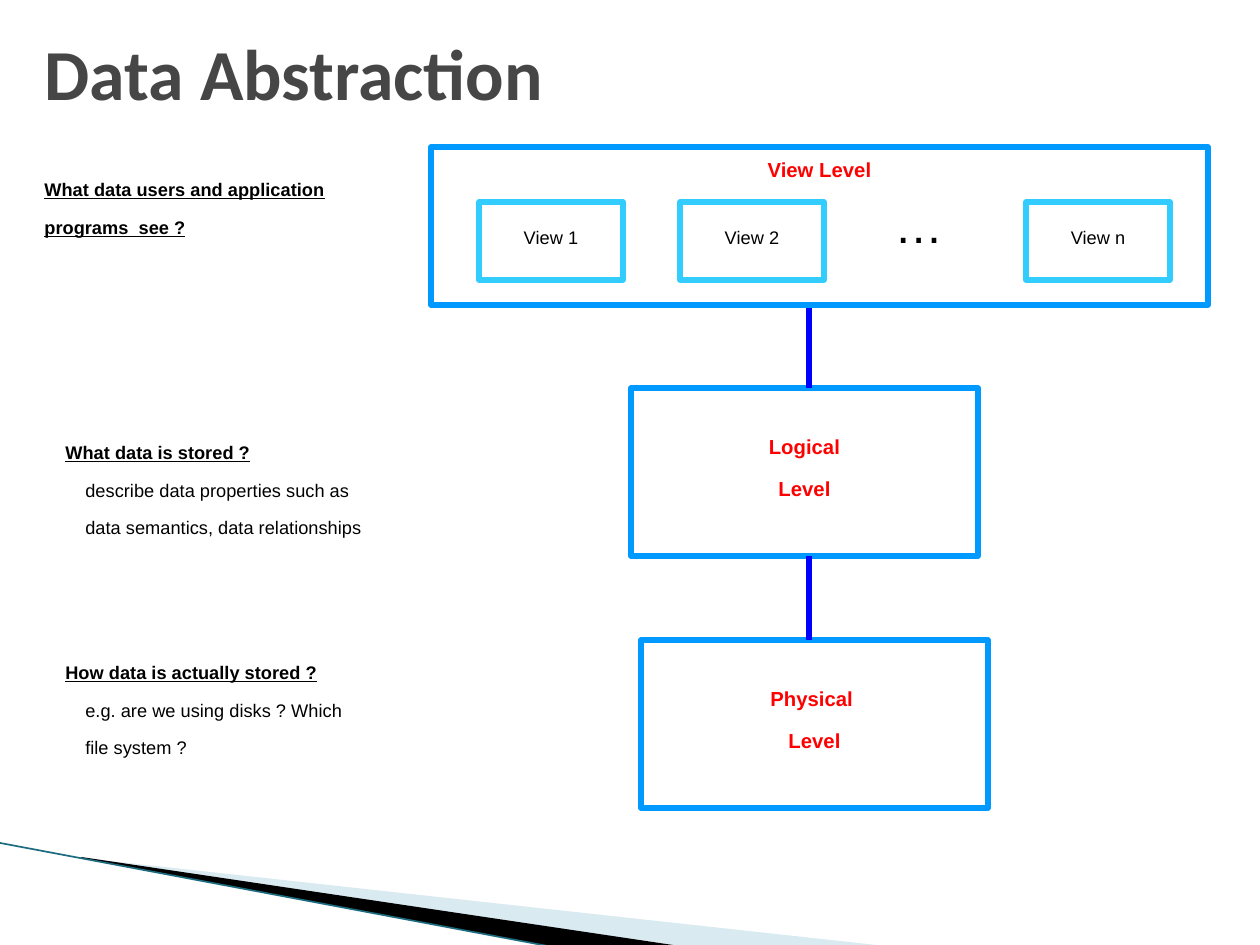
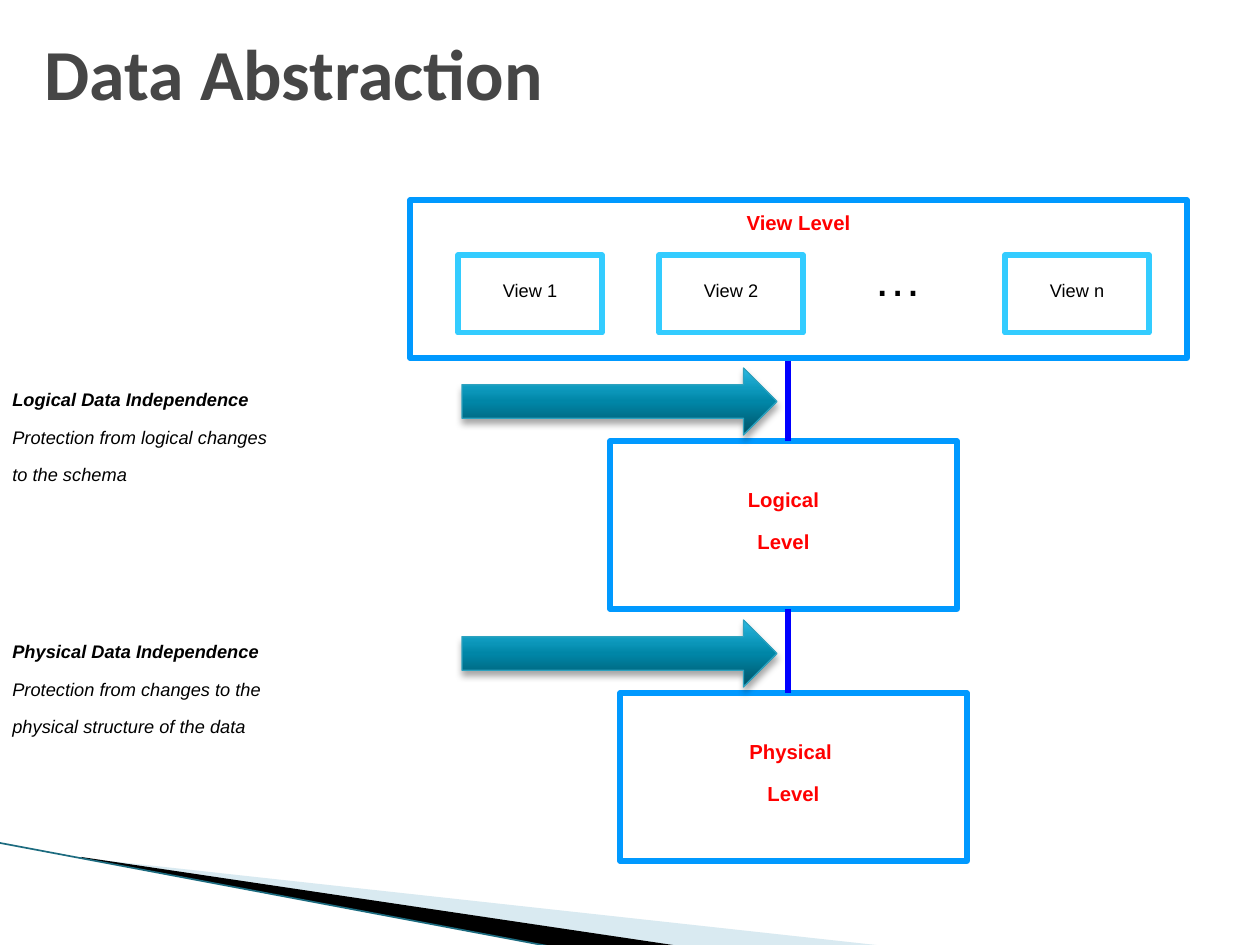
"""Builds two slides on the levels of data abstraction."""
from lxml import etree
from pptx import Presentation
from pptx.dml.color import RGBColor
from pptx.enum import shapes, text
from pptx.oxml import parse_xml
from pptx.oxml.ns import nsdecls, qn
from pptx.util import Emu, Pt

PX = 914400 / 126
HUE = {"title": "464646", "frame": "0099FF", "view": "33CCFF", "level": "FF0000",
       "ink": "000000", "link": "0000FF", "pale": "A0CBDC", "edge": "1C6B7F",
       "arrow": "2DA2BF"}
RAMP = [(0, "005367"), (50, "0086A7"), (70, "0E9ABE"), (100, "2CB9E3")]
TITLE = "Data Abstraction"

# Diagram parts, measured from the corner of the view level
VIEWS = [("View 1", 48), ("View 2", 249), ("View n", 595)]
LEVELS = [(["Logical", "Level"], 200, 241), (["Physical ", "Level"], 210, 493)]
LINKS = [(158, 241), (409, 493)]

# Bands at the foot: fill, opacity, corners
BANDS = [("pale", 40, [(82, 858), (885, 946), (678, 946), (83, 858)]),
         ("ink", 100, [(81, 857), (679, 946), (553, 947), (82, 858)])]

SLIDES = [
    {"corner": (431, 147), "head": "u", "body": None, "indent": 20, "arrows": [],
     "notes": [
         ((53, 651, 503, 126), ["How data is actually stored ?",
                                "e.g. are we using disks ? Which", "file system ?"]),
         ((53, 431, 537, 126), ["What data is stored ?",
                                "describe data properties such as",
                                "data semantics, data relationships"]),
         ((32, 168, 358, 126),
          ["What data users and application programs  see ?"])]},
    {"corner": (410, 200), "head": "i", "body": "i", "indent": 0,
     "arrows": [(462, 368, 315, 67), (462, 620, 315, 67)],
     "notes": [
         ((0, 378, 493, 127), ["Logical Data Independence",
                               "Protection from logical changes", "to the schema"]),
         ((0, 630, 466, 127), ["Physical Data Independence",
                               "Protection from changes to the",
                               "physical structure of the data"])]},
]


def emu(*vals):
    return [Emu(round(v * PX)) for v in vals]


def rgb(name):
    return RGBColor.from_string(HUE[name])


def write(frame, lines, size, hue, align=None, bold=False):
    """Fills a frame with raised text on even lines."""
    frame.text = "\n".join(lines)
    for para in frame.paragraphs:
        para.alignment = align
        para.line_spacing = Pt(size * 1.2)
        for run in para.runs:
            font = run.font
            font.name, font.size, font.bold = "Arial", Pt(size), bold
            font.color.rgb = rgb(hue)
            run._r.get_or_add_rPr().set("baseline", "30000")


def box(slide, area, lines, size, hue, line, bold=False, top=False):
    """Adds an outlined box with centred text."""
    shape = slide.shapes.add_shape(shapes.MSO_SHAPE.RECTANGLE, *emu(*area))
    shape.shadow.inherit = False
    shape.fill.background()
    shape.line.color.rgb, shape.line.width = rgb(line), Pt(3)
    frame = shape.text_frame
    frame.word_wrap = False
    frame.vertical_anchor = text.MSO_ANCHOR.TOP if top else text.MSO_ANCHOR.MIDDLE
    write(frame, lines, size, hue, text.PP_ALIGN.CENTER, bold)


def label(slide, area, lines, size):
    """Adds a wrapping text box."""
    frame = slide.shapes.add_textbox(*emu(*area)).text_frame
    frame.word_wrap = True
    write(frame, lines, size, "ink")
    return frame


def link(slide, ends, hue, width):
    """Adds a straight line without a shadow."""
    line = slide.shapes.add_connector(shapes.MSO_CONNECTOR.STRAIGHT, *emu(*ends))
    line.line.color.rgb, line.line.width = rgb(hue), Pt(width)
    etree.SubElement(line._element.spPr, qn("a:effectLst"))


def base(slide):
    """Draws the shared foot bands and title."""
    for hue, alpha, points in BANDS:
        pen = slide.shapes.build_freeform(*points[0], scale=PX)
        pen.add_line_segments(points[1:], close=True)
        band = pen.convert_to_shape()
        band.shadow.inherit = False
        band.fill.solid()
        band.fill.fore_color.rgb = rgb(hue)
        band.line.fill.background()
        tint = band._element.spPr.find(qn("a:solidFill"))[0]
        etree.SubElement(tint, qn("a:alpha"), val=str(alpha * 1000))
    link(slide, (0, 843, 553, 947), "edge", 0.95)
    title = slide.shapes.title
    title.left, title.top, title.width, title.height = emu(32, 21, 1166, 101)
    frame = title.text_frame
    frame.text = TITLE
    frame.vertical_anchor = text.MSO_ANCHOR.MIDDLE
    para = frame.paragraphs[0]
    para.alignment = text.PP_ALIGN.LEFT
    font = para.runs[0].font
    font.name, font.size, font.bold = "Calibri", Pt(41), True
    font.color.rgb = rgb("title")


def chart(slide, left, top):
    """Draws the three levels and the links between them."""
    for lines, x, y in LEVELS:
        box(slide, (left + x, top + y, 347, 168), lines, 20, "level", "frame", True)
    for start, end in LINKS:
        link(slide, (left + 378, top + start, left + 378, top + end), "link", 3)
    box(slide, (left, top, 777, 158), ["View Level"], 20, "level", "frame", True, True)
    for name, x in VIEWS:
        box(slide, (left + x, top + 55, 144, 78), [name], 18, "ink", "view")
    label(slide, (left + 451, top + 32, 87, 113), ["…"], 48)


def note(slide, area, lines, plan):
    """Adds a note with a bold heading and styled body lines."""
    for i, para in enumerate(label(slide, area, lines, 18).paragraphs):
        style = plan["body"] if i else plan["head"]
        font = para.runs[0].font
        font.bold, font.italic, font.underline = i == 0, style == "i", style == "u"
        if i and plan["indent"]:
            para._p.get_or_add_pPr().set("marL", str(emu(plan["indent"])[0]))


def arrow(slide, area):
    """Adds a shaded block arrow with a soft shadow."""
    shape = slide.shapes.add_shape(shapes.MSO_SHAPE.RIGHT_ARROW, *emu(*area))
    shape.line.color.rgb, shape.line.width = rgb("arrow"), Pt(0.75)
    shape.shadow.inherit = False
    stops = "".join(f'<a:gs pos="{pos * 1000}"><a:srgbClr val="{hue}"/></a:gs>'
                    for pos, hue in RAMP)
    props = shape._element.spPr
    props.insert(2, parse_xml(
        f'<a:gradFill {nsdecls("a")} rotWithShape="1"><a:gsLst>{stops}</a:gsLst>'
        f'<a:lin ang="{270 * 60000}" scaled="0"/></a:gradFill>'))
    props.find(qn("a:effectLst")).append(parse_xml(
        f'<a:outerShdw {nsdecls("a")} blurRad="{Pt(4)}" dist="{Pt(3)}" '
        f'dir="{90 * 60000}" rotWithShape="0"><a:srgbClr val="000000">'
        '<a:alpha val="35000"/></a:srgbClr></a:outerShdw>'))


def main():
    deck = Presentation()
    deck.slide_width, deck.slide_height = emu(1260, 945)
    for plan in SLIDES:
        slide = deck.slides.add_slide(deck.slide_layouts[5])
        base(slide)
        chart(slide, *plan["corner"])
        for area, lines in plan["notes"]:
            note(slide, area, lines, plan)
        for area in plan["arrows"]:
            arrow(slide, area)
    deck.save("out.pptx")


if __name__ == "__main__":
    main()
